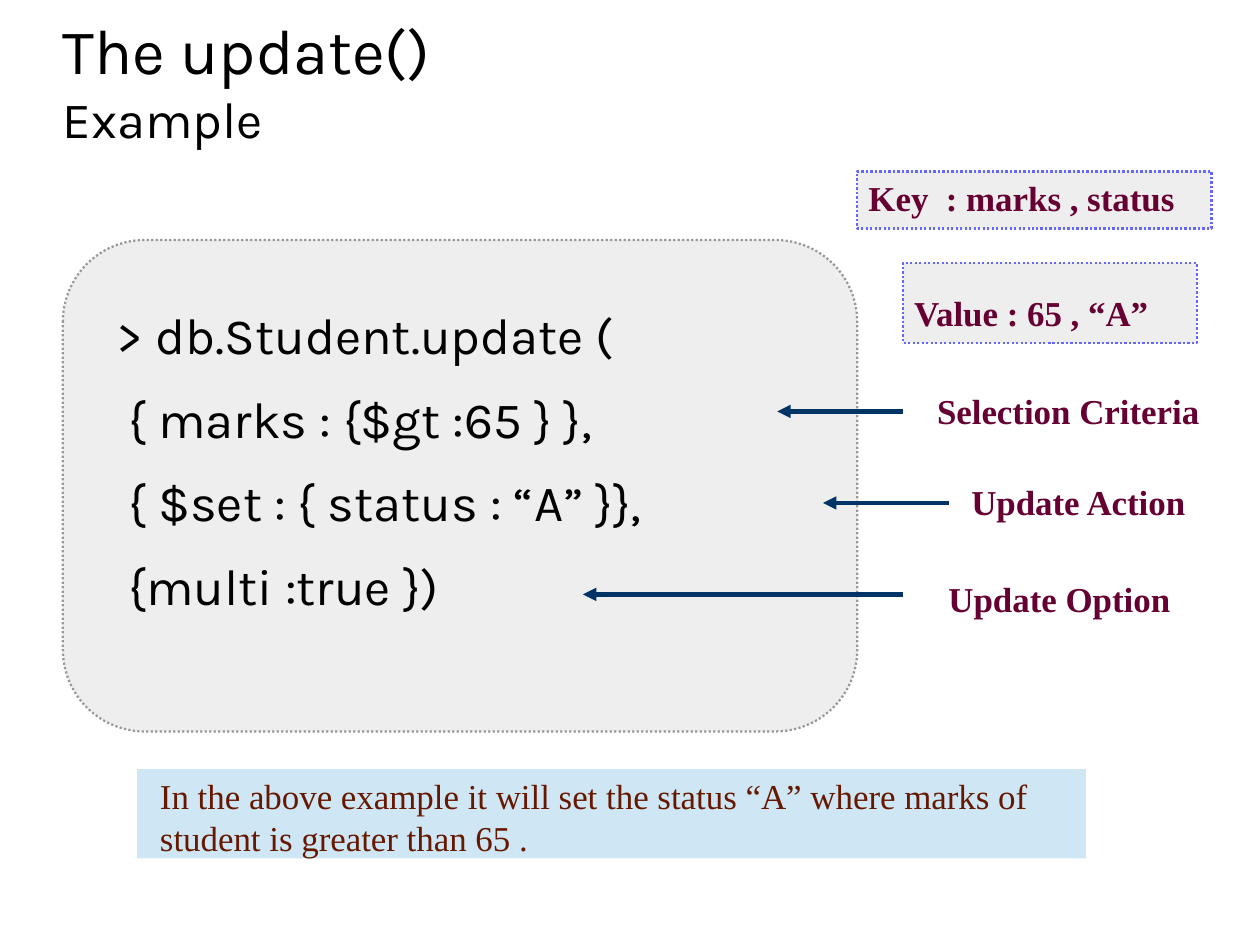
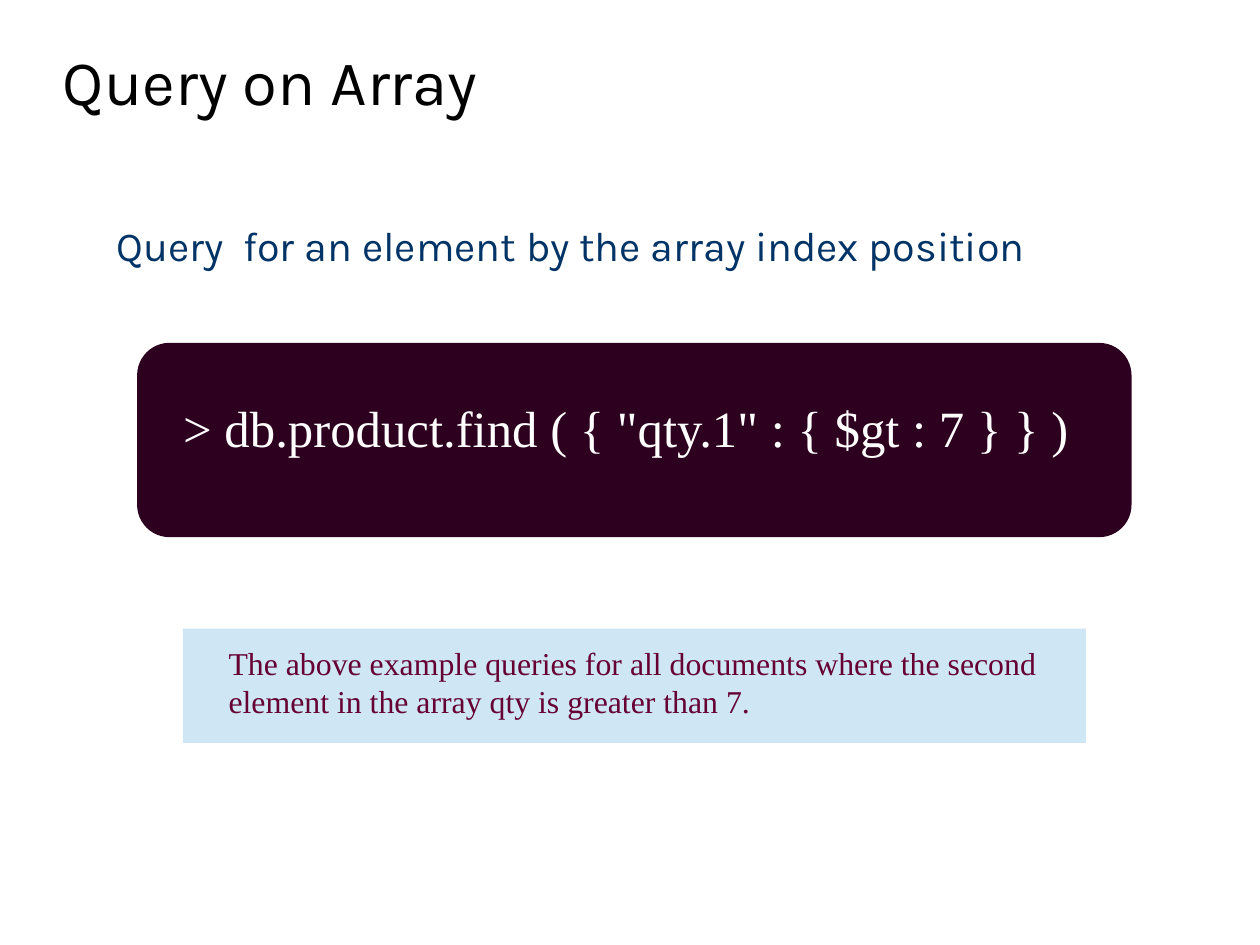
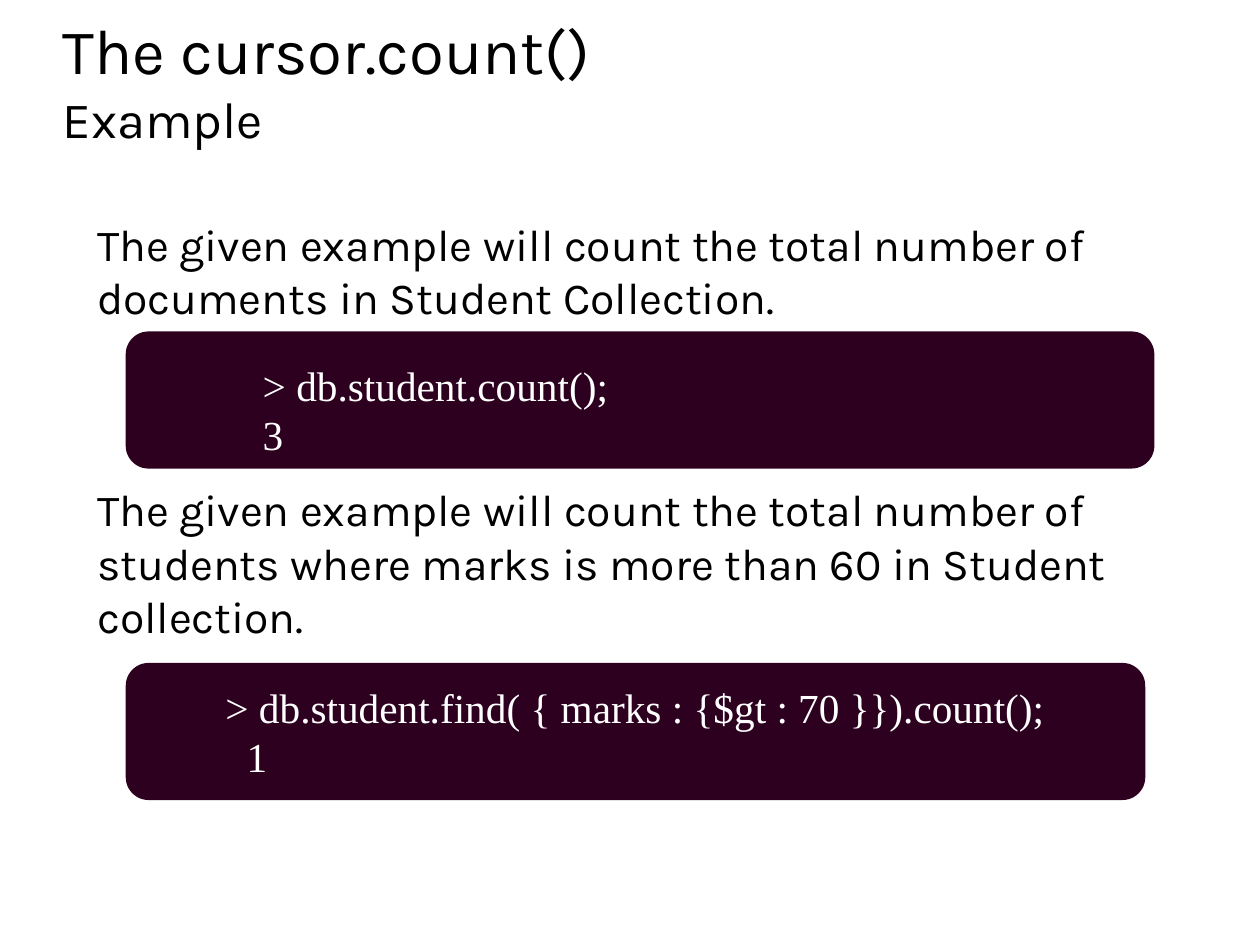
"""Build three slides on document database queries."""
from pptx import Presentation
from pptx.dml.color import RGBColor
from pptx.enum.dml import MSO_LINE
from pptx.enum.shapes import MSO_CONNECTOR, MSO_SHAPE
from pptx.enum.text import MSO_ANCHOR, PP_ALIGN
from pptx.oxml.ns import qn
from pptx.util import Cm, Inches, Pt
from lxml.etree import SubElement

WIDE, HIGH = Cm(28), Cm(21)
SANS, SERIF = "Karla", "Times New Roman"
BLACK, WHITE, NAVY, WINE, BROWN = "000000", "FFFFFF", "003366", "660033", "661900"
GREY, DUSK, BLUE, PLUM, SKY = "EEEEEE", "999999", "6666FF", "2C001E", "CFE7F5"
HEAD = (0.55, 0.01, 9.92, 1.38)
BOX, ROUND = MSO_SHAPE.RECTANGLE, MSO_SHAPE.ROUNDED_RECTANGLE

UPDATE = [
    "> db.Student.update (",
    " { marks : {$gt :65 } },",
    " { $set : { status : “A” }},",
    " {multi :true })",
]
FACTS = [
    ("Key  : marks , status", (7.5, 1.5, 3.1, 0.5), 0.05),
    ("Value : 65 , “A”", (7.9, 2.3, 2.57, 0.7), 0.25),
]
CALLS = [
    ("Selection Criteria", (8.1, 3.36, 2.5, 0.44), 7.9, 6.8),
    ("Update Action", (8.4, 4.16, 2.3, 0.44), 8.3, 7.2),
    ("Update Option", (8.2, 5, 2.2, 0.44), 7.9, 5.1),
]
ROW, STEP = 3.6, 0.8
RESULT = "In the above example it will set the status “A” where marks of student is greater than 65 ."
INDEX = "Query  for an element by the array index position"
FIND = '> db.product.find ( { "qty.1" : { $gt : 7 } } )'
MATCH = "The above example queries for all documents where the second element in the array qty is greater than 7."
COUNTS = [
    ("The given example will count the total number of documents in Student Collection.", 1.9, 1),
    ("The given example will count the total number of students where marks is more than 60 in Student collection.", 4.22, 1.5),
]
TOTAL = ["> db.student.count();", "3"]
ABOVE = ["> db.student.find( { marks : {$gt : 70 }}).count();", "1"]


def tint(code):
    """Turn a hex string into a colour."""
    return RGBColor.from_string(code)


def place(at):
    """Turn a box in inches into lengths."""
    return [Inches(n) for n in at]


def write(shape, lines, size, color, font=SERIF, bold=False, pad=(0.1, 0.05), gap=0):
    """Fill a shape with left-aligned paragraphs from its top."""
    frame = shape.text_frame
    frame.word_wrap = True
    frame.vertical_anchor = MSO_ANCHOR.TOP
    frame.margin_left, frame.margin_top = Inches(pad[0]), Inches(pad[1])
    frame.margin_right = min(Inches(pad[0]), Inches(0.1))
    frame.margin_bottom = min(Inches(pad[1]), Inches(0.05))
    frame.text = "\n".join(lines)
    for para in frame.paragraphs:
        para.alignment = PP_ALIGN.LEFT
        para.space_after = Pt(gap)
        para.font.name, para.font.size = font, Pt(size)
        para.font.bold, para.font.color.rgb = bold, tint(color)
    return frame


def start(deck, *lines):
    """Add a slide with the shared title style."""
    slide = deck.slides.add_slide(deck.slide_layouts[5])
    title = slide.shapes.title
    title.left, title.top, title.width, title.height = place(HEAD)
    frame = write(title, ["\v".join(lines)], 40, BLACK, SANS, pad=(0, 0))
    frame.vertical_anchor = MSO_ANCHOR.MIDDLE
    for run in frame.paragraphs[0].runs[1:]:
        run.font.size = Pt(32)
    return slide


def panel(slide, kind, at, fill, edge=None):
    """Add a flat panel, with a dotted edge if one is given."""
    shape = slide.shapes.add_shape(kind, *place(at))
    shape.shadow.inherit = False
    shape.fill.solid()
    shape.fill.fore_color.rgb = tint(fill)
    if edge:
        shape.line.color.rgb = tint(edge)
        shape.line.width = Pt(1.42)
        shape.line.dash_style = MSO_LINE.ROUND_DOT
    else:
        shape.line.fill.background()
    return shape


def label(slide, at, text, size, color, **style):
    """Add a text box."""
    write(slide.shapes.add_textbox(*place(at)), [text], size, color, **style)


def arrow(slide, tail, tip, y):
    """Add a level arrow from tail to tip."""
    line = slide.shapes.add_connector(MSO_CONNECTOR.STRAIGHT, *place((tail, y, tip, y)))
    line.line.color.rgb = tint(NAVY)
    line.line.width = Pt(2.83)
    SubElement(line.line._get_or_add_ln(), qn("a:tailEnd"), type="triangle")
    SubElement(line._element.spPr, qn("a:effectLst"))


def update(deck):
    """Show the update call and its parts."""
    slide = start(deck, "The update()", "Example")
    code = panel(slide, ROUND, (0.55, 2.1, 6.95, 4.3), GREY, DUSK)
    write(code, UPDATE, 32, BLACK, SANS, pad=(0.26, 0.35), gap=14.2)
    for i, (text, at, tail, tip) in enumerate(CALLS):
        arrow(slide, tail, tip, ROW + i * STEP)
        label(slide, at, text, 22, WINE, bold=True)
    note = panel(slide, BOX, (1.2, 6.73, 8.3, 0.78), SKY)
    write(note, [RESULT], 22, BROWN, pad=(0.2, 0.05))
    for text, at, top in FACTS:
        write(panel(slide, BOX, at, GREY, BLUE), [text], 22, WINE, bold=True, pad=(0.1, top))


def query(deck):
    """Show a query by array index."""
    slide = start(deck, "Query on Array")
    label(slide, (1.02, 1.93, 9.45, 0.6), INDEX, 26, NAVY, font=SANS, pad=(0, 0))
    note = panel(slide, BOX, (1.6, 5.5, 7.9, 1), SKY)
    write(note, [MATCH], 20, WINE, pad=(0.4, 0.13))
    code = panel(slide, ROUND, (1.2, 3, 8.7, 1.7), PLUM)
    write(code, [FIND], 32, WHITE, pad=(0.32, 0.39))


def count(deck):
    """Show two ways to count documents."""
    slide = start(deck, "The cursor.count()", "Example")
    for text, top, high in COUNTS:
        label(slide, (0.85, top, 9.45, high), text, 28, BLACK, font=SANS, pad=(0, 0))
    code = panel(slide, ROUND, (1.1, 2.9, 9, 1.2), PLUM)
    write(code, TOTAL, 26, WHITE, pad=(1.14, 0.19))
    code = panel(slide, ROUND, (1.1, 5.8, 8.92, 1.2), PLUM)
    frame = write(code, ABOVE, 26, WHITE)
    frame.vertical_anchor = MSO_ANCHOR.MIDDLE
    call, answer = frame.paragraphs
    call.alignment = PP_ALIGN.CENTER
    answer._p.get_or_add_pPr().set("marL", str(Inches(0.9)))


def main():
    """Build and save the deck."""
    deck = Presentation()
    deck.slide_width, deck.slide_height = WIDE, HIGH
    for build in (update, query, count):
        build(deck)
    deck.save("out.pptx")


if __name__ == "__main__":
    main()
